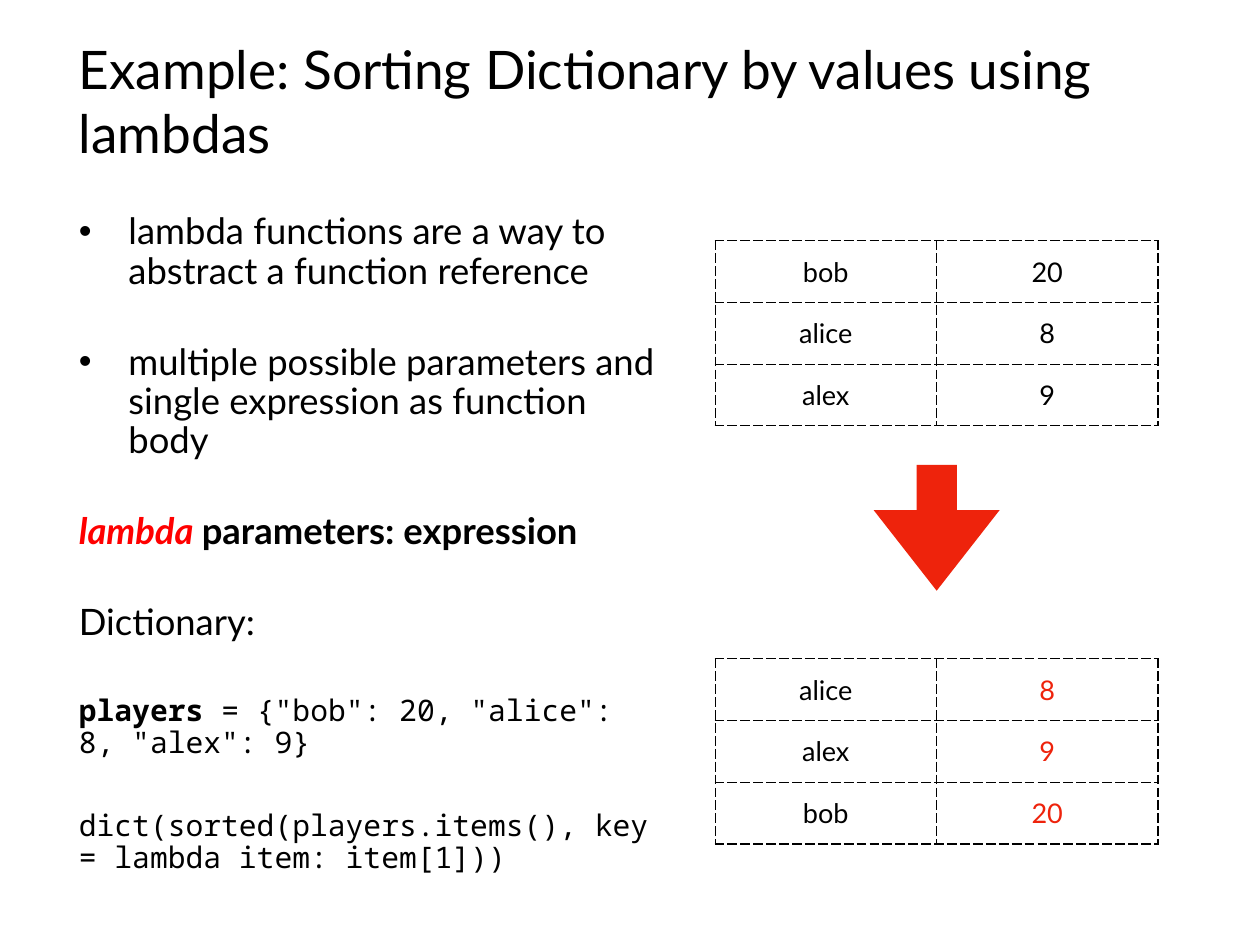
from collections import namedtuple

from lxml.etree import SubElement
from pptx import Presentation
from pptx.dml.color import RGBColor
from pptx.enum.shapes import MSO_SHAPE
from pptx.enum.text import MSO_ANCHOR, PP_ALIGN
from pptx.oxml.ns import qn
from pptx.util import Inches, Pt

Box = namedtuple("Box", "left top width height")
COLUMNS = ROWS = 100
COLORS = {"text": "000000", "keyword": "FF0000", "accent": "EE230C", "page": "FFFFFF"}
MARGINS = dict.fromkeys(
    ("margin_left", "margin_top", "margin_right", "margin_bottom"), Inches(0.06)
)
TITLE = {"name": "Lato", "size": Pt(43.2)}
BODY = {"name": "Lato", "size": Pt(29.6)}
STRONG = {**BODY, "bold": True}
CODE = {"name": "Noto Sans Mono", "size": Pt(24.1)}
CELL = {"name": "Lato", "size": Pt(22)}

BODY_PARAGRAPHS = [
    (True, [("lambda functions are a way to abstract a function reference", BODY, "text")]),
    (True, [("multiple possible parameters and single expression as function body",
             BODY, "text")]),
    (False, [("lambda ", {**STRONG, "italic": True}, "keyword"),
             ("parameters: expression", STRONG, "text")]),
    (False, [("Dictionary:", BODY, "text")]),
    (False, [("players", {**CODE, "bold": True}, "text"),
             (' = {"bob": 20, "alice": 8, "alex": 9}', CODE, "text")]),
    (False, [("dict(sorted(players.items(), key = lambda item: item[1]))", CODE, "text")]),
]
PLAYERS = {"bob": 20, "alice": 8, "alex": 9}


def apply_format(target, values):
    """Set each named attribute of the target."""
    for name, value in values.items():
        setattr(target, name, value)


def grid_box(presentation, left, top, width, height):
    """Turn grid columns and rows into a box in slide units."""
    column = presentation.slide_width / COLUMNS
    row = presentation.slide_height / ROWS
    return Box(*(round(value) for value in
                 (left * column, top * row, width * column, height * row)))


def add_run(paragraph, text, font_format, color):
    """Append a formatted run to the paragraph."""
    run = paragraph.add_run()
    run.text = text
    apply_format(run.font, font_format)
    run.font.color.rgb = RGBColor.from_string(COLORS[color])


def add_text_frame(slide, box, anchor):
    """Add a wrapping text box and return its text frame."""
    text_frame = slide.shapes.add_textbox(*box).text_frame
    apply_format(text_frame, {**MARGINS, "word_wrap": True, "vertical_anchor": anchor})
    return text_frame


def add_bullet(paragraph):
    """Give the paragraph a hanging bullet."""
    properties = paragraph._p.get_or_add_pPr()
    indent = Inches(0.56)
    properties.set("marL", str(indent))
    properties.set("indent", str(-indent))
    SubElement(properties, qn("a:buFont"), typeface="Arial")
    SubElement(properties, qn("a:buChar"), char="•")


def add_title(slide, box):
    """Place the slide title."""
    text_frame = add_text_frame(slide, box, MSO_ANCHOR.MIDDLE)
    add_run(text_frame.paragraphs[0], "Example: Sorting Dictionary by values using lambdas",
            TITLE, "text")


def add_body(slide, box):
    """Place the explanation and the code lines."""
    text_frame = add_text_frame(slide, box, MSO_ANCHOR.TOP)
    for index, (bulleted, runs) in enumerate(BODY_PARAGRAPHS):
        paragraph = text_frame.add_paragraph() if index else text_frame.paragraphs[0]
        apply_format(paragraph, {"line_spacing": 0.9,
                                 "space_before": Pt(42 if index else 0)})
        if bulleted:
            add_bullet(paragraph)
        for run in runs:
            add_run(paragraph, *run)


def add_borders(cell):
    """Draw dashed lines on all four sides of the cell."""
    properties = cell._tc.get_or_add_tcPr()
    for side in ("lnL", "lnR", "lnT", "lnB"):
        line = SubElement(properties, qn(f"a:{side}"), w=str(Pt(1)))
        fill = SubElement(line, qn("a:solidFill"))
        SubElement(fill, qn("a:srgbClr"), val=COLORS["text"])
        SubElement(line, qn("a:prstDash"), val="lgDash")


def add_player_table(slide, box, players, value_color):
    """Place a table of player names and values."""
    table = slide.shapes.add_table(len(players), 2, *box).table
    apply_format(table, {"first_row": False, "horz_banding": False})
    for row_index, player in enumerate(players):
        for column_index, color in enumerate(("text", value_color)):
            cell = table.cell(row_index, column_index)
            apply_format(cell, {**MARGINS, "vertical_anchor": MSO_ANCHOR.MIDDLE})
            add_borders(cell)
            cell.fill.background()
            paragraph = cell.text_frame.paragraphs[0]
            paragraph.alignment = PP_ALIGN.CENTER
            add_run(paragraph, str(player[column_index]), CELL, color)


def add_sort_arrow(slide, box):
    """Place the arrow that points down to the sorted table."""
    arrow = slide.shapes.add_shape(MSO_SHAPE.RIGHT_ARROW, *box)
    arrow.rotation = 90
    arrow.adjustments[0] = 0.32
    arrow.adjustments[1] = 0.64
    arrow.shadow.inherit = False
    arrow.fill.solid()
    arrow.fill.fore_color.rgb = RGBColor.from_string(COLORS["accent"])
    arrow.line.fill.background()


def build_slide(presentation):
    """Add the slide and place its regions on the grid."""
    slide = presentation.slides.add_slide(presentation.slide_layouts[6])
    slide.background.fill.solid()
    slide.background.fill.fore_color.rgb = RGBColor.from_string(COLORS["page"])
    add_title(slide, grid_box(presentation, 5.84, 6, 92.76, 9.28))
    add_body(slide, grid_box(presentation, 5.84, 22.02, 47.19, 74.5))
    by_value = sorted(PLAYERS.items(), key=lambda player: player[1])
    for top, players, color in ((25.49, PLAYERS.items(), "text"),
                                (69.73, by_value, "accent")):
        add_player_table(slide, grid_box(presentation, 56.75, top, 35.16, 19.59),
                         players, color)
    add_sort_arrow(slide, grid_box(presentation, 69.34, 49.2, 9.99, 13.31))


def main():
    """Build and save the presentation."""
    presentation = Presentation()
    apply_format(presentation, {"slide_width": Inches(14.22), "slide_height": Inches(10.67)})
    build_slide(presentation)
    presentation.save("out.pptx")


main()
